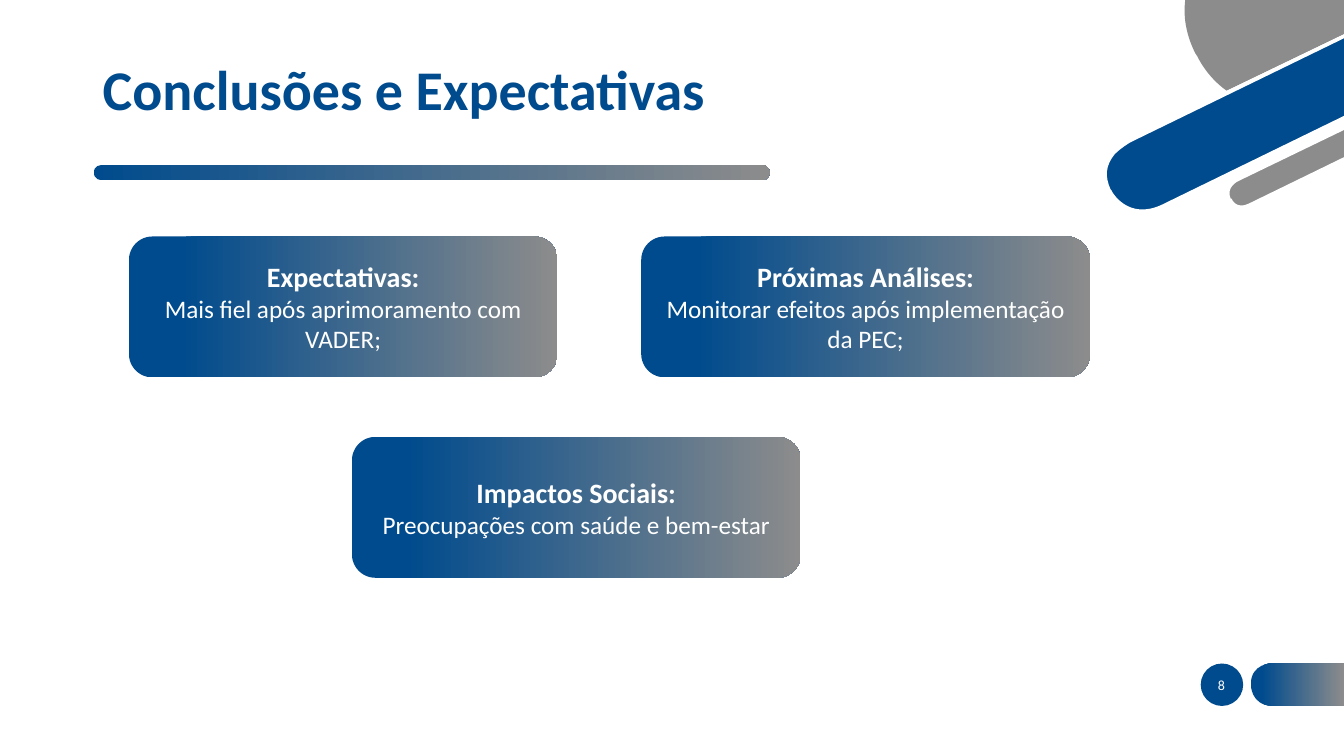
from dataclasses import dataclass

from pptx import Presentation
from pptx.dml.color import RGBColor
from pptx.enum.shapes import MSO_SHAPE
from pptx.enum.text import MSO_ANCHOR, PP_ALIGN
from pptx.oxml.ns import qn
from pptx.oxml.xmlchemy import OxmlElement
from pptx.shapes.autoshape import Shape
from pptx.shapes.shapetree import GroupShapes, SlideShapes
from pptx.slide import Slide
from pptx.text.text import TextFrame
from pptx.util import Cm, Pt

BLUE, GRAY, WHITE = "004B8D", "8C8C8C", "FFFFFF"
FONT = "Calibri"
GRID = Cm(0.0254)  # unit of the ornament coordinates
FINE = 10  # subdivisions of one grid unit
EDGE = 1333.4  # right edge of the slide in grid units


@dataclass(frozen=True)
class Ornament:
    """Outline whose steps are line ends (2 numbers) or Bézier curves (6 numbers)."""
    color: str
    start: tuple[float, float]
    steps: list[tuple[float, ...]]


@dataclass(frozen=True)
class Topic:
    left: float
    top: float
    width: float
    heading: str
    detail: str


PAGE_TAB = Ornament(BLUE, (1262, 700), [
    (EDGE, 700), (EDGE, 658), (1262, 658), (1262, 658, 1241, 658, 1241, 679),
    (1241, 679), (1241, 679, 1241, 700, 1262, 700)])

CORNER = [
    # gray disc: white rim
    Ornament(WHITE, (EDGE, 81), [
        (1306, 94), (1274, 110, 1244, 108, 1219, 89), (1199, 74, 1189, 55, 1189, 55),
        (1188, 52), (1179, 34, 1175, 16, 1178, 0), (1174, 0),
        (1171, 17, 1175, 35, 1184, 54), (1186, 57), (1186, 58, 1196, 77, 1216, 92),
        (1228, 101, 1244, 109, 1265, 109), (1277, 109, 1291, 106, 1308, 98), (EDGE, 86)]),
    # blue band
    Ornament(BLUE, (1121, 139), [
        (1121, 139, 1085, 157, 1101, 189), (1101, 190),
        (1101, 190, 1117, 222, 1154, 204), (EDGE, 117), (EDGE, 36)]),
    # gray disc
    Ornament(GRAY, (1188, 56), [
        (1188, 56, 1197, 76, 1217, 90), (EDGE, 34), (EDGE, 0), (1176, 0),
        (1174, 15, 1176, 33, 1186, 53)]),
    # thin gray band
    Ornament(GRAY, (EDGE, 126), [
        (1227, 178), (1227, 178, 1213, 185, 1220, 197), (1220, 198),
        (1220, 198, 1226, 211, 1240, 204), (EDGE, 158)]),
    # thin gray band: white rim
    Ornament(WHITE, (1239, 202), [
        (1227, 208, 1222, 198, 1222, 197), (1221, 197), (1216, 186, 1228, 180, 1228, 180),
        (EDGE, 129), (EDGE, 124), (1226, 176), (1226, 176, 1219, 180, 1217, 187),
        (1215, 191, 1216, 195, 1218, 199), (1220, 203, 1225, 208, 1232, 208),
        (1235, 208, 1238, 208, 1241, 206), (EDGE, 161), (EDGE, 156)]),
    # blue band: white rim
    Ornament(WHITE, (1153, 203), [
        (1119, 219, 1103, 190, 1103, 189), (1102, 188), (1096, 175, 1097, 164, 1106, 153),
        (1113, 146, 1122, 141, 1122, 141), (EDGE, 38), (EDGE, 34), (1120, 137),
        (1119, 138, 1102, 146, 1096, 163), (1093, 171, 1094, 180, 1099, 190), (1099, 191),
        (1099, 191, 1110, 212, 1133, 212), (1139, 212, 1146, 210, 1154, 206),
        (EDGE, 119), (EDGE, 115)]),
]

TOPICS = [
    Topic(3.25, 5.96, 10.8, "Expectativas:", "Mais fiel após aprimoramento com VADER;"),
    Topic(16.16, 5.96, 11.31, "Próximas Análises:",
          "Monitorar efeitos após implementação da PEC;"),
    Topic(8.87, 11.01, 11.31, "Impactos Sociais:", "Preocupações com saúde e bem-estar"),
]
TOPIC_HEIGHT = 3.55


def rgb(color: str) -> RGBColor:
    return RGBColor.from_string(color)


def paint(shape: Shape, color: str) -> None:
    shape.shadow.inherit = False
    shape.line.fill.background()
    shape.fill.solid()
    shape.fill.fore_color.rgb = rgb(color)


def paint_gradient(shape: Shape, start: float = 0.12) -> None:
    paint(shape, BLUE)
    shape.fill.gradient()
    shape.fill.gradient_angle = 0
    for stop, color, position in zip(shape.fill.gradient_stops, (BLUE, GRAY), (start, 1)):
        stop.color.rgb = rgb(color)
        stop.position = position


def add_preset(slide: Slide, preset: MSO_SHAPE, left: float, top: float,
               width: float, height: float) -> Shape:
    return slide.shapes.add_shape(preset, Cm(left), Cm(top), Cm(width), Cm(height))


def add_frame(slide: Slide, left: float, top: float, width: float, height: float) -> TextFrame:
    return slide.shapes.add_textbox(Cm(left), Cm(top), Cm(width), Cm(height)).text_frame


def add_ornament(shapes: SlideShapes | GroupShapes, ornament: Ornament) -> Shape:
    """Draw every point as a line end, then merge the three lines of each curve."""
    points = [(step[i] * FINE, step[i + 1] * FINE)
              for step in ornament.steps for i in range(0, len(step), 2)]
    builder = shapes.build_freeform(*(value * FINE for value in ornament.start),
                                    scale=GRID / FINE)
    builder.add_line_segments(points, close=True)
    shape = builder.convert_to_shape()
    lines = iter(list(shape.element.iter(qn("a:lnTo"))))
    for step in ornament.steps:
        segment = [next(lines) for _ in range(len(step) // 2)]
        if len(segment) == 3:
            curve = OxmlElement("a:cubicBezTo")
            segment[0].addprevious(curve)
            for line in segment:
                curve.append(line[0])
                line.getparent().remove(line)
    paint(shape, ornament.color)
    return shape


def write(frame: TextFrame, text: str, *, size: float, color: str = WHITE, bold: bool = False,
          align: PP_ALIGN = PP_ALIGN.CENTER, spacing: float = 1.0) -> None:
    """Fill the empty first paragraph, or append a new one."""
    frame.word_wrap = True
    frame.vertical_anchor = MSO_ANCHOR.MIDDLE
    paragraph = frame.add_paragraph() if frame.text else frame.paragraphs[0]
    paragraph.alignment = align
    paragraph.line_spacing = spacing
    run = paragraph.add_run()
    run.text = text
    run.font.name = FONT
    run.font.size = Pt(size)
    run.font.bold = bold
    run.font.color.rgb = rgb(color)


def add_topic(slide: Slide, topic: Topic) -> None:
    box = add_preset(slide, MSO_SHAPE.ROUNDED_RECTANGLE, topic.left, topic.top,
                     topic.width, TOPIC_HEIGHT)
    paint_gradient(box)
    write(box.text_frame, topic.heading, size=20, bold=True)
    write(box.text_frame, topic.detail, size=18)


def main() -> None:
    deck = Presentation()
    deck.slide_width, deck.slide_height = Cm(33.87), Cm(19.05)
    slide = deck.slides.add_slide(deck.slide_layouts[6])

    paint(add_preset(slide, MSO_SHAPE.OVAL, 30.26, 16.72, 1.07, 1.07), BLUE)
    paint_gradient(add_ornament(slide.shapes, PAGE_TAB))
    corner = slide.shapes.add_group_shape()
    for ornament in CORNER:
        add_ornament(corner.shapes, ornament)

    title_rule = add_preset(slide, MSO_SHAPE.ROUNDED_RECTANGLE, 2.36, 4.16, 17.04, 0.38)
    title_rule.adjustments[0] = 0.5
    paint_gradient(title_rule, start=0)

    write(add_frame(slide, 30.02, 16.76, 1.52, 1.02), "8", size=10)
    write(add_frame(slide, 2.34, 1.02, 25.15, 2.62), "Conclusões e Expectativas",
          size=40, color=BLUE, bold=True, align=PP_ALIGN.LEFT, spacing=0.9)
    for topic in TOPICS:
        add_topic(slide, topic)

    deck.save("out.pptx")


if __name__ == "__main__":
    main()
